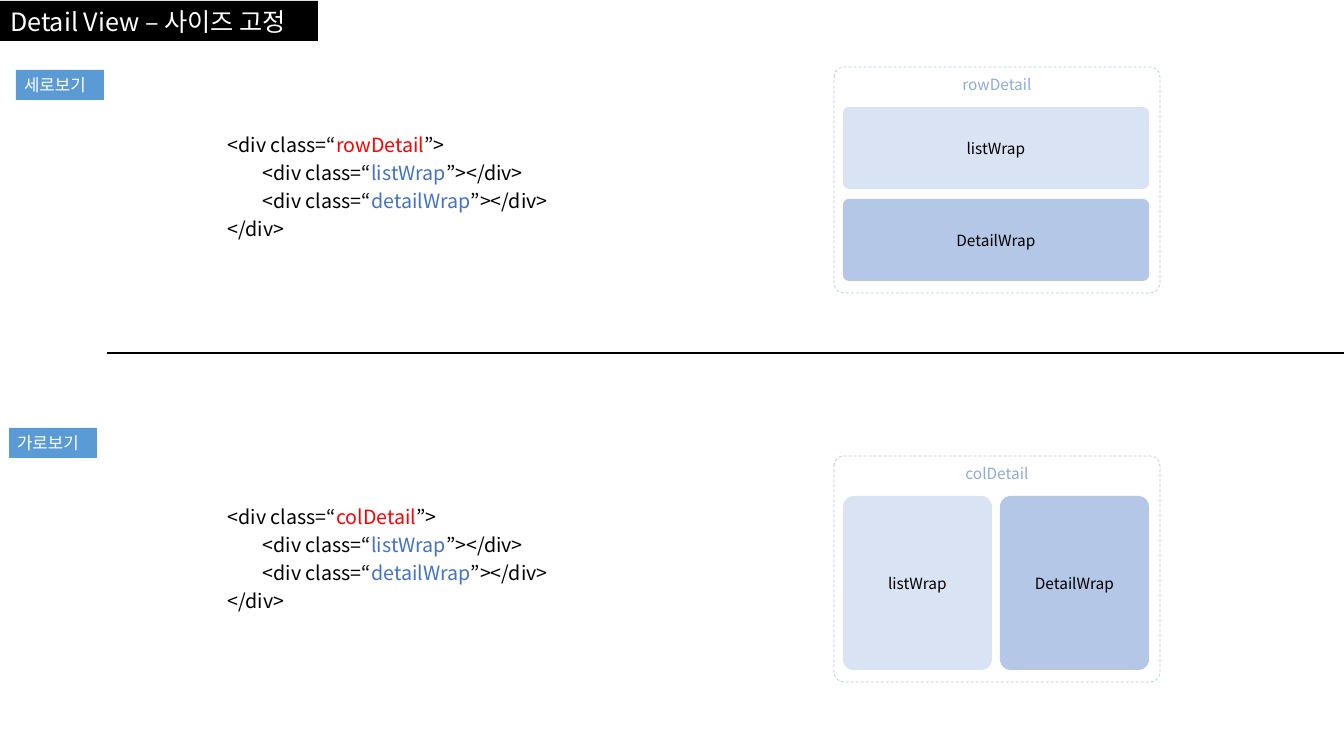
"""Build the Detail View slide with its row and column layouts."""
import pptx
import pptx.dml.color
import pptx.enum.dml
import pptx.enum.shapes
import pptx.enum.text
import pptx.oxml
import pptx.oxml.ns
import pptx.util

FONT = "Noto Sans CJK KR"
KINDS = pptx.enum.shapes.MSO_SHAPE
ALIGN = pptx.enum.text.PP_ALIGN
ANCHOR = pptx.enum.text.MSO_ANCHOR


def px(*sizes):
    """Turn px into EMU."""
    return [pptx.util.Emu(round(size * 914400 / 100.8)) for size in sizes]


def paint(run, size, tint):
    """Set the font, size and colour of a run."""
    run.font.name = FONT
    run.font.size = pptx.util.Pt(size)
    run.font.color.rgb = pptx.dml.color.RGBColor.from_string(tint)
    east = pptx.oxml.parse_xml(
        f'<a:ea {pptx.oxml.ns.nsdecls("a")} typeface="{FONT}"/>')
    run.font._element.find(pptx.oxml.ns.qn("a:latin")).addnext(east)


deck = pptx.Presentation()
deck.slide_width, deck.slide_height = px(1344, 756)
slide = deck.slides.add_slide(deck.slide_layouts[5])
shapes = slide.shapes
rgb = pptx.dml.color.RGBColor.from_string

title = shapes.title
title.left, title.top, title.width, title.height = px(0, 1, 318, 40)
title.fill.solid()
title.fill.fore_color.rgb = rgb("000000")
frame = title.text_frame
frame.text = "Detail View – 사이즈 고정"
frame.auto_size = pptx.enum.text.MSO_AUTO_SIZE.NONE
frame.vertical_anchor = ANCHOR.TOP
frame.paragraphs[0].alignment = ALIGN.LEFT
paint(frame.paragraphs[0].runs[0], 18, "FFFFFF")

rule = shapes.add_connector(
    pptx.enum.shapes.MSO_CONNECTOR.STRAIGHT, *px(107, 353, 1344, 353))
rule.line.color.rgb = rgb("000000")
rule.line.width = pptx.util.Pt(1.75)
rule._element.spPr.append(
    pptx.oxml.parse_xml(f'<a:effectLst {pptx.oxml.ns.nsdecls("a")}/>'))

views = [
    ("세로보기", "rowDetail", (16, 70), 123, 67, (306, 82), (0, 92)),
    ("가로보기", "colDetail", (9, 428), 495, 456, (149, 174), (157, 0)),
]
for label, name, spot, code_top, top, size, step in views:
    tag = shapes.add_shape(KINDS.RECTANGLE, *px(*spot, 88, 30))
    tag.shadow.inherit = False
    tag.fill.solid()
    tag.fill.fore_color.rgb = rgb("5B9BD5")
    tag.line.fill.background()
    frame = tag.text_frame
    frame.text = label
    frame.vertical_anchor = ANCHOR.TOP
    frame.margin_left, frame.margin_right = px(8, 0)
    frame.paragraphs[0].alignment = ALIGN.LEFT
    paint(frame.paragraphs[0].runs[0], 12, "FFFFFF")

    code = shapes.add_textbox(*px(218, code_top, 364, 121)).text_frame
    code.word_wrap = True
    lines = [
        (0, "<div class=“", name, "”>", "FF0000"),
        (35, "<div class=“", "listWrap", "”></div>", "4472C4"),
        (35, "<div class=“", "detailWrap", "”></div>", "4472C4"),
        (0, "</div>", "", "", "000000"),
    ]
    for row, (indent, start, word, end, tint) in enumerate(lines):
        para = code.add_paragraph() if row else code.paragraphs[0]
        para.line_spacing = 1.2
        para._p.get_or_add_pPr().set("marL", str(px(indent)[0]))
        for text, hue in ((start, "000000"), (word, tint), (end, "000000")):
            if text:
                run = para.add_run()
                run.text = text
                paint(run, 14, hue)

    boxes = [
        ("listWrap", 843, top + 40, *size, 0.073, "DAE3F3", "000000"),
        ("DetailWrap", 843 + step[0], top + 40 + step[1], *size, 0.072,
         "B4C7E7", "000000"),
        (name, 834, top, 326, 226, 0.043, None, "8FAADC"),
    ]
    for text, x, y, wide, high, curve, fill, tint in boxes:
        box = shapes.add_shape(
            KINDS.ROUNDED_RECTANGLE, *px(x, y, wide, high))
        box.adjustments[0] = curve
        box.shadow.inherit = False
        if fill:
            box.fill.solid()
            box.fill.fore_color.rgb = rgb(fill)
            box.line.fill.background()
        else:
            box.fill.background()
            box.line.color.rgb = rgb("B4C7E7")
            box.line.width = pptx.util.Pt(0.5)
            box.line.dash_style = pptx.enum.dml.MSO_LINE.DASH
        frame = box.text_frame
        frame.text = text
        frame.vertical_anchor = ANCHOR.MIDDLE if fill else ANCHOR.TOP
        frame.paragraphs[0].alignment = ALIGN.CENTER
        paint(frame.paragraphs[0].runs[0], 11, tint)

deck.save("out.pptx")
